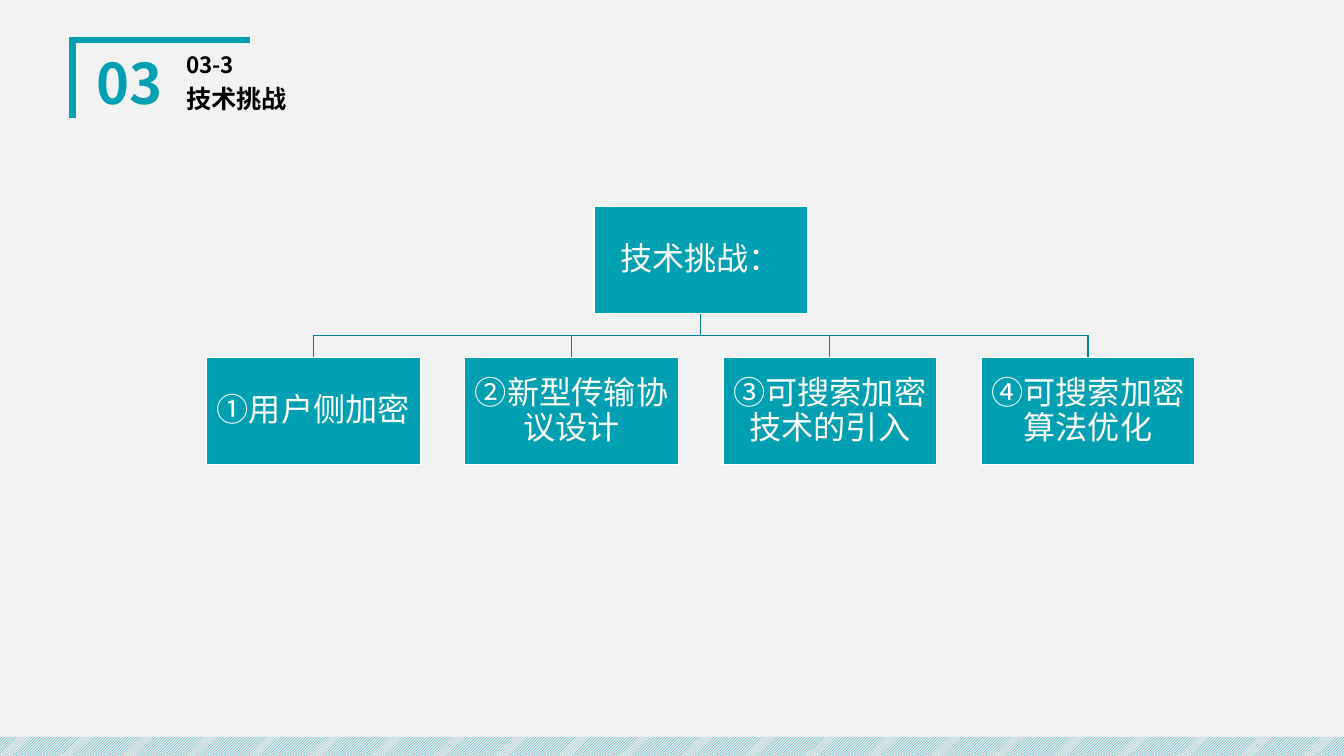
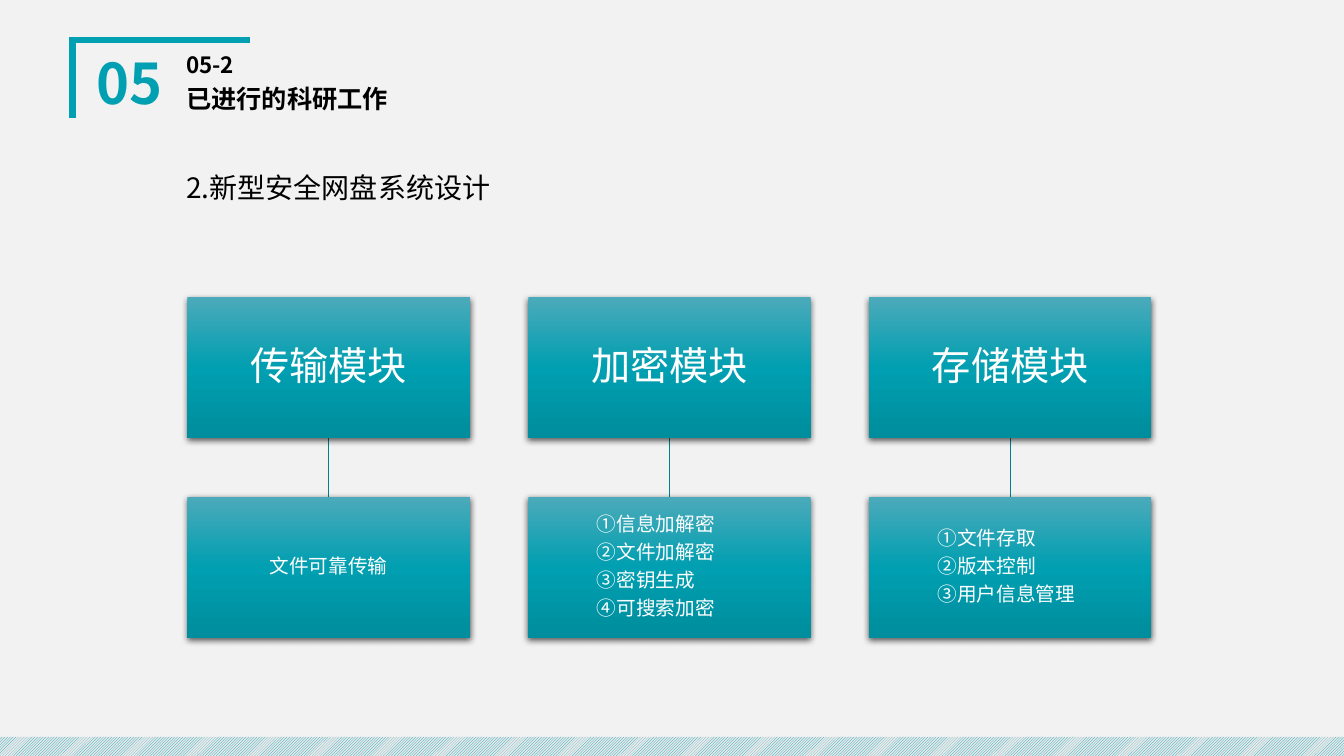
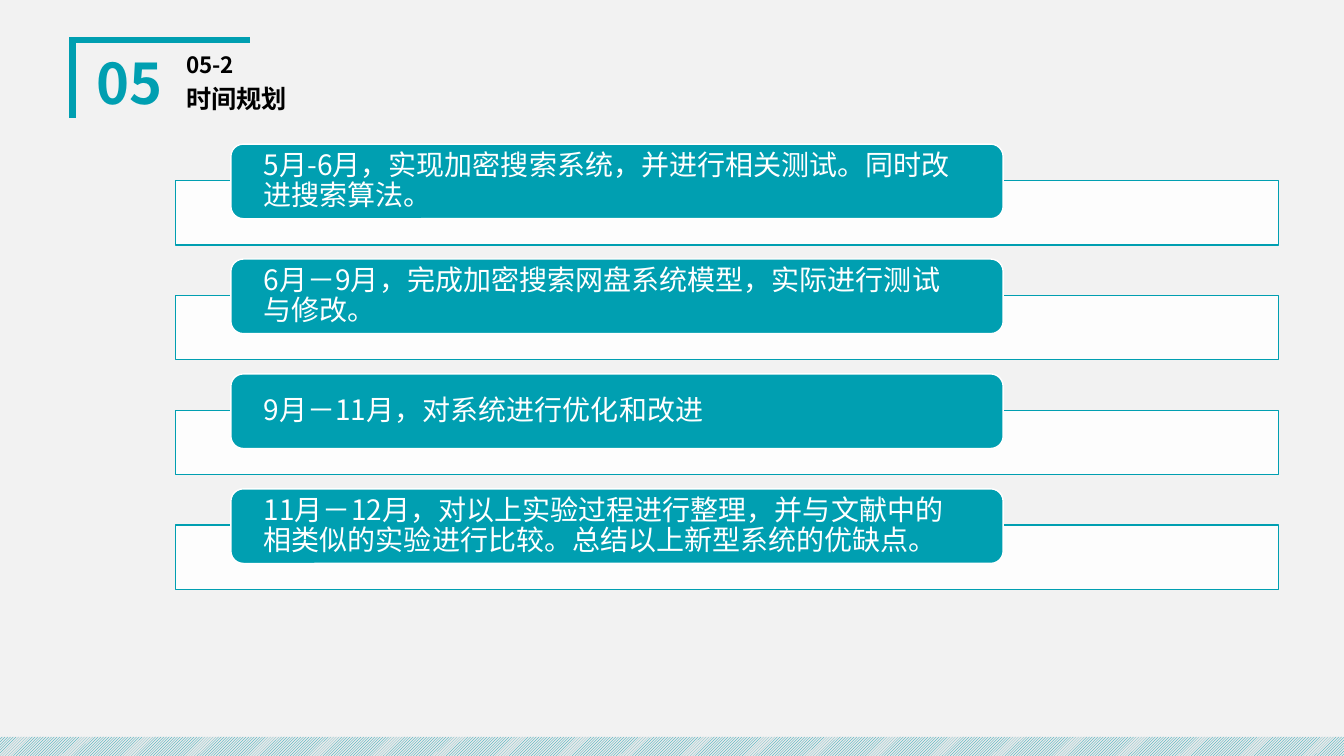
import lxml.etree
import pptx
import pptx.dml.color
import pptx.enum.dml
import pptx.enum.shapes
import pptx.enum.text
import pptx.oxml.ns
import pptx.util

Inches = pptx.util.Inches
Pt = pptx.util.Pt
RGBColor = pptx.dml.color.RGBColor
MSO_SHAPE = pptx.enum.shapes.MSO_SHAPE
PP_ALIGN = pptx.enum.text.PP_ALIGN
MSO_ANCHOR = pptx.enum.text.MSO_ANCHOR
qn = pptx.oxml.ns.qn

# Shared style
FONT = "Noto Sans CJK SC"
TEAL = RGBColor(0x00, 0x9F, 0xB1)
TEAL_LIGHT = RGBColor(0x4B, 0xAA, 0xBA)
TEAL_DARK = RGBColor(0x00, 0x8D, 0x9D)
LINK = RGBColor(0x00, 0x7F, 0x8E)
PAGE = RGBColor(0xF2, 0xF2, 0xF2)
STRIPE = RGBColor(0xE9, 0xE9, 0xE9)
WHITE = RGBColor(0xFF, 0xFF, 0xFF)
BLACK = RGBColor(0x00, 0x00, 0x00)
SLIDE_W, SLIDE_H = 13.33, 7.5

# Content
CHALLENGES = ["①用户侧加密", "②新型传输协议设计", "③可搜索加密技术的引入", "④可搜索加密算法优化"]
MODULES = [
    ("传输模块", ["文件可靠传输"]),
    ("加密模块", ["①信息加解密", "②文件加解密", "③密钥生成", "④可搜索加密"]),
    ("存储模块", ["①文件存取", "②版本控制", "③用户信息管理"]),
]
PLAN = [
    "5月-6月，实现加密搜索系统，并进行相关测试。同时改进搜索算法。",
    "6月－9月，完成加密搜索网盘系统模型，实际进行测试与修改。",
    "9月－11月，对系统进行优化和改进",
    "11月－12月，对以上实验过程进行整理，并与文献中的相类似的实验进行比较。总结以上新型系统的优缺点。",
]


def write(shape, lines, size, color, align=PP_ALIGN.LEFT, bold=False, spacing=0.9,
          before=0, after=0, anchor=MSO_ANCHOR.MIDDLE, margins=None):
    """Fill a shape with equally styled paragraphs; margins are (left, right, top) in inches."""
    frame = shape.text_frame
    frame.word_wrap = True
    frame.vertical_anchor = anchor
    if margins:
        left, right, top = margins
        frame.margin_left, frame.margin_right = Inches(left), Inches(right)
        frame.margin_top = frame.margin_bottom = Inches(top)
    frame.text = "\n".join(lines)
    for paragraph in frame.paragraphs:
        paragraph.alignment = align
        paragraph.line_spacing = spacing
        paragraph.space_before = Pt(before)
        paragraph.space_after = Pt(after)
        font = paragraph.font
        font.size, font.bold, font.name = Pt(size), bold, FONT
        font.color.rgb = color
        east_asian = lxml.etree.SubElement(font._element, qn("a:ea"))
        east_asian.set("typeface", FONT)


def add_label(slide, left, top, width, height, text, size, color, **style):
    label = slide.shapes.add_textbox(Inches(left), Inches(top), Inches(width), Inches(height))
    write(label, [text], size, color, **style)


def add_box(slide, left, top, width, height, fill=TEAL, outline=None, kind=MSO_SHAPE.RECTANGLE):
    box = slide.shapes.add_shape(kind, Inches(left), Inches(top), Inches(width), Inches(height))
    box.shadow.inherit = False
    box.fill.solid()
    box.fill.fore_color.rgb = fill
    if outline is None:
        box.line.fill.background()
    else:
        box.line.color.rgb = outline
        box.line.width = Pt(1)
    return box


def add_polyline(slide, points, color, weight):
    """Open, unfilled path with sharp corners."""
    start, *rest = [(Inches(x), Inches(y)) for x, y in points]
    builder = slide.shapes.build_freeform(*start)
    builder.add_line_segments(rest, close=False)
    path_line = builder.convert_to_shape()
    path_line.shadow.inherit = False
    path_line.fill.background()
    path_line.line.color.rgb = color
    path_line.line.width = Pt(weight)
    stroke = path_line._element.spPr.find(qn("a:ln"))
    lxml.etree.SubElement(stroke, qn("a:miter"), lim="800000")


def add_link(slide, x1, y1, x2, y2):
    link = slide.shapes.add_connector(pptx.enum.shapes.MSO_CONNECTOR.STRAIGHT,
                                      Inches(x1), Inches(y1), Inches(x2), Inches(y2))
    link.line.color.rgb = LINK
    link.line.width = Pt(1)
    lxml.etree.SubElement(link._element.spPr, qn("a:effectLst"))


def add_color(parent, color, alpha=None):
    node = lxml.etree.SubElement(parent, qn("a:srgbClr"), val=str(color))
    if alpha is not None:
        lxml.etree.SubElement(node, qn("a:alpha"), val=str(alpha * 1000))


def add_glossy_box(slide, left, top, width, height):
    """Box with a vertical teal gradient and a soft shadow below."""
    box = add_box(slide, left, top, width, height)
    box.fill.gradient()
    box.fill.gradient_angle = 270
    properties = box._element.spPr
    stops = properties.find(qn("a:gradFill")).find(qn("a:gsLst"))
    for stop in list(stops):
        stops.remove(stop)
    for percent, color in ((0, TEAL_LIGHT), (50, TEAL), (100, TEAL_DARK)):
        add_color(lxml.etree.SubElement(stops, qn("a:gs"), pos=str(percent * 1000)), color)
    shadow = lxml.etree.SubElement(
        properties.find(qn("a:effectLst")), qn("a:outerShdw"), blurRad=str(Pt(4.5)),
        dist=str(Pt(1.5)), dir="5400000", algn="ctr", rotWithShape="0")
    add_color(shadow, BLACK, 63)
    return box


def add_page(prs, chapter, section, title):
    """New slide with corner bracket, striped footer and heading."""
    slide = prs.slides.add_slide(prs.slide_layouts[6])
    add_polyline(slide, [(0.72, 1.17), (0.72, 0.4), (2.48, 0.4)], TEAL, 4.5)

    footer = add_box(slide, 0, 7.31, SLIDE_W, SLIDE_H - 7.31)
    footer.fill.patterned()
    footer.fill.pattern = pptx.enum.dml.MSO_PATTERN.LIGHT_UPWARD_DIAGONAL
    footer.fill.fore_color.rgb = TEAL
    footer.fill.back_color.rgb = STRIPE

    add_label(slide, 0.82, 0.49, 0.93, 0.73, chapter, 40, TEAL,
              align=PP_ALIGN.CENTER, bold=True, before=10)
    add_label(slide, 1.75, 0.49, 2.67, 0.34, section, 16, BLACK, bold=True, before=10)
    add_label(slide, 1.75, 0.78, 2.67, 0.44, title, 18, BLACK, bold=True, before=10)
    return slide


def build_challenges(prs):
    slide = add_page(prs, "03", "03-3", "技术挑战")
    width, height, pitch = 2.12, 1.06, 2.56
    root_top, leaf_top, bus = 2.05, 3.55, 3.33
    lefts = [2.05 + i * pitch for i in range(len(CHALLENGES))]
    root_left = (lefts[0] + lefts[-1]) / 2
    half = width / 2

    # Branches from the root to each leaf
    trunk = root_left + half
    for left in reversed(lefts):
        add_polyline(slide, [(trunk, root_top + height), (trunk, bus),
                             (left + half, bus), (left + half, leaf_top)], LINK, 1)

    # Root and leaves
    nodes = [(root_left, root_top, "技术挑战：")]
    nodes += [(left, leaf_top, text) for left, text in zip(lefts, CHALLENGES)]
    for left, top, text in nodes:
        node = add_box(slide, left, top, width, height, outline=WHITE)
        write(node, [text], 23, WHITE, align=PP_ALIGN.CENTER, after=8,
              margins=(0.02, 0.02, 0.02))


def build_modules(prs):
    slide = add_page(prs, "05", "05-2", "已进行的科研工作")
    add_label(slide, 1.75, 1.54, 9.57, 0.48, "2.新型安全网盘系统设计", 20, BLACK,
              spacing=1.3, before=6, anchor=MSO_ANCHOR.TOP)
    width, height, gap = 2.8, 1.4, 0.58
    top = 2.95
    detail_top = top + height + gap
    for i, (name, details) in enumerate(MODULES):
        left = 1.86 + i * (width + gap)
        add_link(slide, left + width / 2, top + height, left + width / 2, detail_top)
        module = add_glossy_box(slide, left, top, width, height)
        write(module, [name], 28, WHITE, align=PP_ALIGN.CENTER, after=9.8,
              margins=(0.02, 0.02, 0.02))
        detail = add_glossy_box(slide, left, detail_top, width, height)
        is_list = len(details) > 1
        write(detail, details, 14, WHITE, after=4.9,
              align=PP_ALIGN.LEFT if is_list else PP_ALIGN.CENTER,
              margins=(0.68 if is_list else 0.01, 0.01, 0.01))


def build_plan(prs):
    slide = add_page(prs, "05", "05-2", "时间规划")
    for i, text in enumerate(PLAN):
        top = 1.43 + i * 1.14
        track = add_box(slide, 1.74, top + 0.36, 10.94, 0.64, fill=WHITE, outline=TEAL)
        white = track._element.spPr.find(qn("a:solidFill"))[0]
        lxml.etree.SubElement(white, qn("a:alpha"), val="90000")
        period = add_box(slide, 2.29, top, 7.66, 0.74, outline=WHITE,
                         kind=MSO_SHAPE.ROUNDED_RECTANGLE)
        write(period, [text], 20, WHITE, after=7, margins=(0.29, 0.32, 0))


def main():
    prs = pptx.Presentation()
    prs.slide_width, prs.slide_height = Inches(SLIDE_W), Inches(SLIDE_H)
    backdrop = prs.slide_master.background.fill
    backdrop.solid()
    backdrop.fore_color.rgb = PAGE
    build_challenges(prs)
    build_modules(prs)
    build_plan(prs)
    prs.save("out.pptx")


if __name__ == "__main__":
    main()
